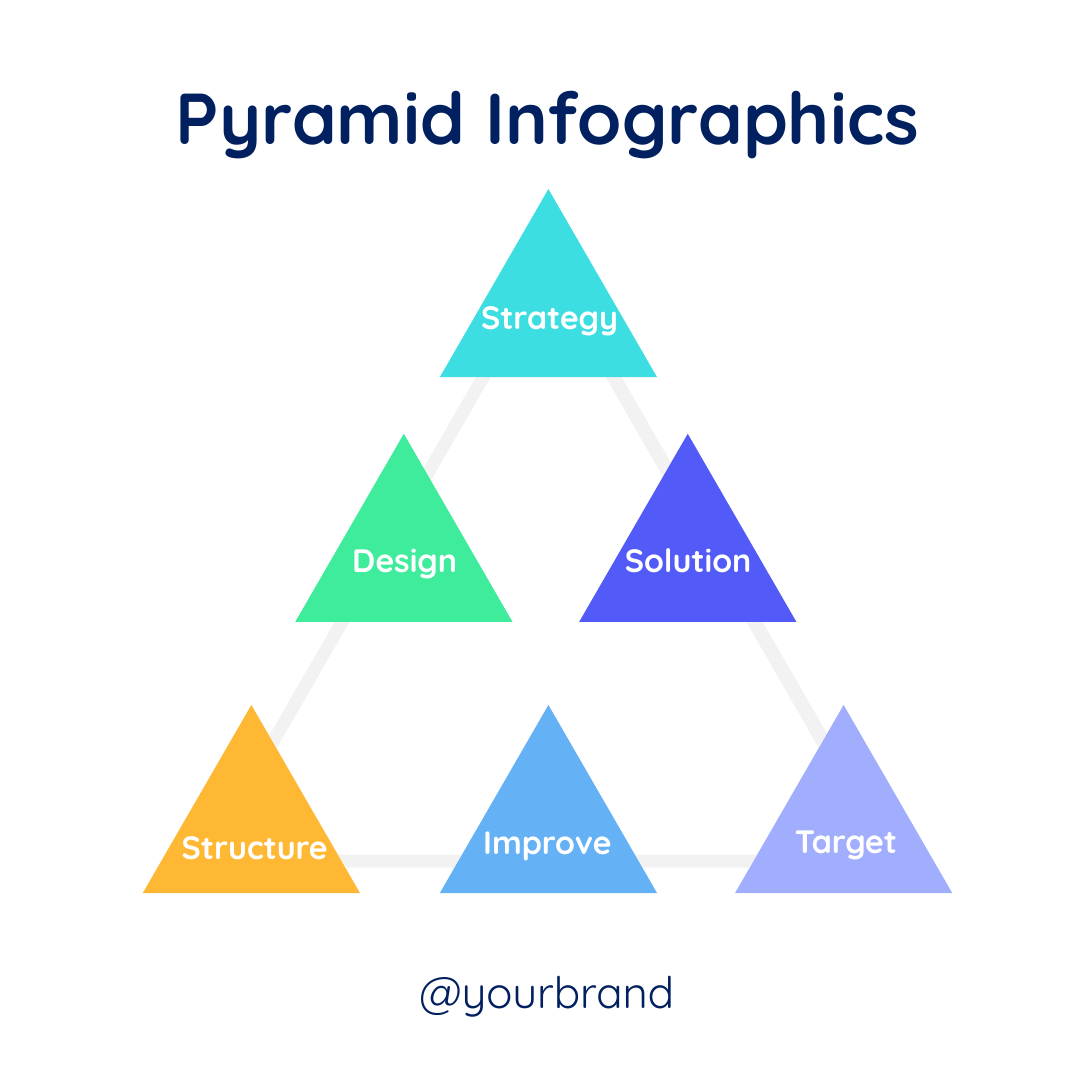
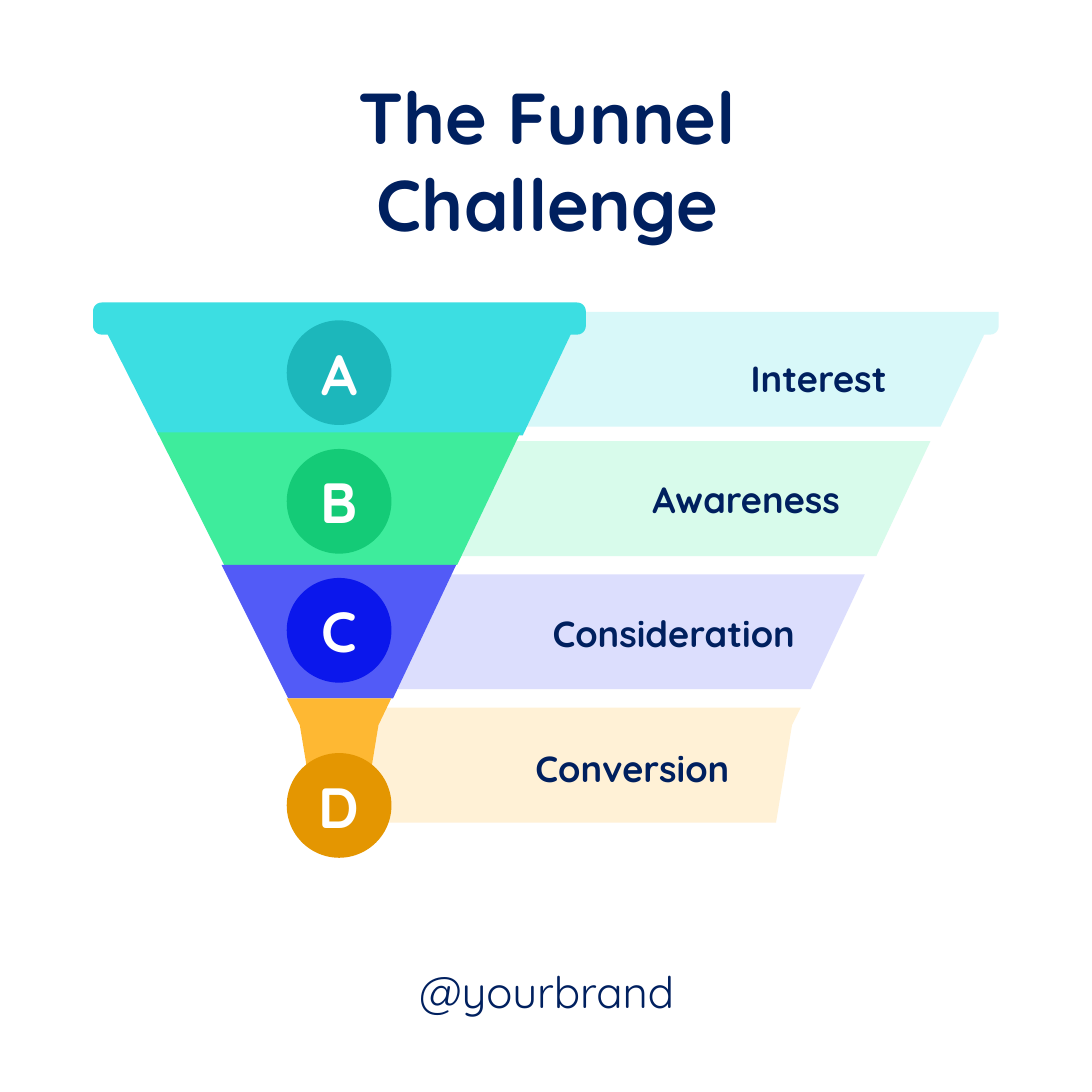
import math
import pptx
import pptx.util
import pptx.dml.color
import pptx.enum.shapes
import pptx.enum.text

Pt = pptx.util.Pt
MSO_SHAPE = pptx.enum.shapes.MSO_SHAPE
ALIGN = pptx.enum.text.PP_ALIGN
ANCHOR = pptx.enum.text.MSO_ANCHOR

NAVY = "00205F"
WHITE = "FFFFFF"
GREY = "F2F2F2"
TEAL = "3CDEE2"
GREEN = "3EEC9C"
INDIGO = "525BF7"
AMBER = "FEB833"


def paint(shape, color):
    shape.shadow.inherit = False
    shape.fill.solid()
    shape.fill.fore_color.rgb = pptx.dml.color.RGBColor.from_string(color)
    shape.line.fill.background()


def write(shape, lines, size, color, bold=True, align=ALIGN.CENTER, anchor=ANCHOR.TOP, inset=None):
    frame = shape.text_frame
    frame.word_wrap = True
    frame.auto_size = pptx.enum.text.MSO_AUTO_SIZE.NONE
    frame.vertical_anchor = anchor
    if inset is not None:
        frame.margin_left = frame.margin_right = Pt(inset)
        frame.margin_top = frame.margin_bottom = Pt(inset)
    for index, line in enumerate(lines):
        paragraph = frame.add_paragraph() if index else frame.paragraphs[0]
        paragraph.alignment = align
        run = paragraph.add_run()
        run.text = line
        run.font.name = "Quicksand"
        run.font.size = Pt(size)
        run.font.bold = bold
        run.font.color.rgb = pptx.dml.color.RGBColor.from_string(color)


deck = pptx.Presentation()
deck.slide_width = deck.slide_height = Pt(540)

slides = []
for title_lines, title_height in ((["Pyramid Infographics"], 50.4), (["The Funnel", "Challenge"], 93.6)):
    slide = deck.slides.add_slide(deck.slide_layouts[5])
    title = slide.shapes.title
    title.left, title.top, title.width, title.height = Pt(40.3), Pt(32.4), Pt(460.8), Pt(title_height)
    write(title, title_lines, 35.6, NAVY)
    handle = slide.shapes.add_textbox(Pt(171.4), Pt(473.8), Pt(198), Pt(33.1))
    write(handle, ["@yourbrand"], 21.6, NAVY, bold=False)
    slides.append(slide)
pyramid, funnel = slides

pyramid_bars = [
    (GREY, [(370.1, 429.1), (374.4, 422.6), (167, 422.6), (171.4, 429.1)]),
    (GREY, [(133.2, 363.6), (136.8, 370.1), (242.6, 186.5), (235.4, 186.5)]),
    (GREY, [(404.6, 369.4), (409, 362.9), (307.4, 186.5), (299.5, 186.5)]),
]

radius = 4.3
rim_left, rim_top, rim_right, rim_bottom = 46, 149.6, 289.7, 165.5
rim_corners = [
    (rim_left + radius, rim_bottom - radius, 90),
    (rim_left + radius, rim_top + radius, 180),
    (rim_right - radius, rim_top + radius, 270),
    (rim_right - radius, rim_bottom - radius, 0),
]
rim = [
    (x + radius * math.cos(math.radians(start + turn)), y + radius * math.sin(math.radians(start + turn)))
    for x, y, start in rim_corners
    for turn in range(0, 91, 15)
]
band_shift = 204.2
band_lip = [(x + band_shift, y) for x, y in reversed(rim[-7:])]
funnel_body = [(282.2, rim_bottom), (258.5, 215.3), (78.5, 215.3), (53.3, rim_bottom)]

band_left, band_height = 177.8, 56.8
band_edges = [
    ("D8F8F9", 154.2, [(465.1, 211), (486.7, rim_bottom)] + list(reversed(band_lip)) + [(493.9, 154.2)]),
    ("D8FBEB", 218.2, [(433.4, 275), (460.1, 218.2)]),
    ("DCDEFD", 284, [(401, 340.8), (427.7, 284)]),
    ("FFF1D6", 350, [(383.8, 406.8), (391.7, 358.6), (396, 350)]),
]
band_edges[0][2][2:-1] = band_lip
funnel_parts = [
    (color, [(band_left, top), (band_left, top + band_height)] + edge) for color, top, edge in band_edges
] + [
    (TEAL, rim + funnel_body),
    (GREEN, [(77.8, 213.8), (257.4, 213.8), (226.1, 279.4), (110.9, 279.4)]),
    (INDIGO, [(109.6, 279.4), (225.6, 279.4), (194.4, 345.4), (142.6, 345.4)]),
    (AMBER, [(141.8, 345.4), (193.5, 345.4), (187.2, 358.6), (178.6, 411.1), (157, 411.1), (148.3, 358.6)]),
]

for slide, outlines in ((pyramid, pyramid_bars), (funnel, funnel_parts)):
    for color, points in outlines:
        corners = [(Pt(x), Pt(y)) for x, y in points]
        builder = slide.shapes.build_freeform(*corners[0])
        builder.add_line_segments(corners[1:], close=True)
        paint(builder.convert_to_shape(), color)

steps = [
    ("Strategy", TEAL, 217.5, 93.5, 226.8, 143.3, 90, ALIGN.CENTER),
    ("Design", GREEN, 146, 214.5, 162, 263.5, 76.3, ALIGN.CENTER),
    ("Solution", INDIGO, 286.4, 214.5, 285.8, 263.5, 92.9, ALIGN.RIGHT),
    ("Structure", AMBER, 70.6, 348.6, 82.8, 405.4, 100.8, ALIGN.LEFT),
    ("Improve", "65B1F5", 217.5, 348.6, 226.8, 403.2, 87.8, ALIGN.CENTER),
    ("Target", "A1ADFD", 363.5, 348.6, 380.2, 402.5, 76.3, ALIGN.CENTER),
]
for name, color, left, top, label_left, label_top, label_width, align in steps:
    triangle = pyramid.shapes.add_shape(MSO_SHAPE.ISOSCELES_TRIANGLE, Pt(left), Pt(top), Pt(107.4), Pt(93))
    paint(triangle, color)
    label = pyramid.shapes.add_textbox(Pt(label_left), Pt(label_top), Pt(label_width), Pt(26.6))
    write(label, [name], 16, WHITE, align=align)

stages = [
    ("A", "1CB7BB", 158.4, "Interest", 257.8, 175),
    ("B", "14CB77", 222, "Awareness", 234.7, 234.7),
    ("C", "0B17EC", 285.8, "Consideration", 212.4, 301),
    ("D", "E49601", 372.4, "Conversion", 180, 367.9),
]
for letter, color, top, name, label_left, label_top in stages:
    badge = funnel.shapes.add_shape(MSO_SHAPE.OVAL, Pt(141.8), Pt(top), Pt(51.8), Pt(51.8))
    paint(badge, color)
    write(badge, [letter], 28, WHITE, anchor=ANCHOR.MIDDLE, inset=2.9)
    label = funnel.shapes.add_textbox(Pt(label_left), Pt(label_top), Pt(181.4), Pt(23.8))
    write(label, [name], 18, NAVY, align=ALIGN.RIGHT, anchor=ANCHOR.MIDDLE, inset=0.7)

deck.save("out.pptx")
